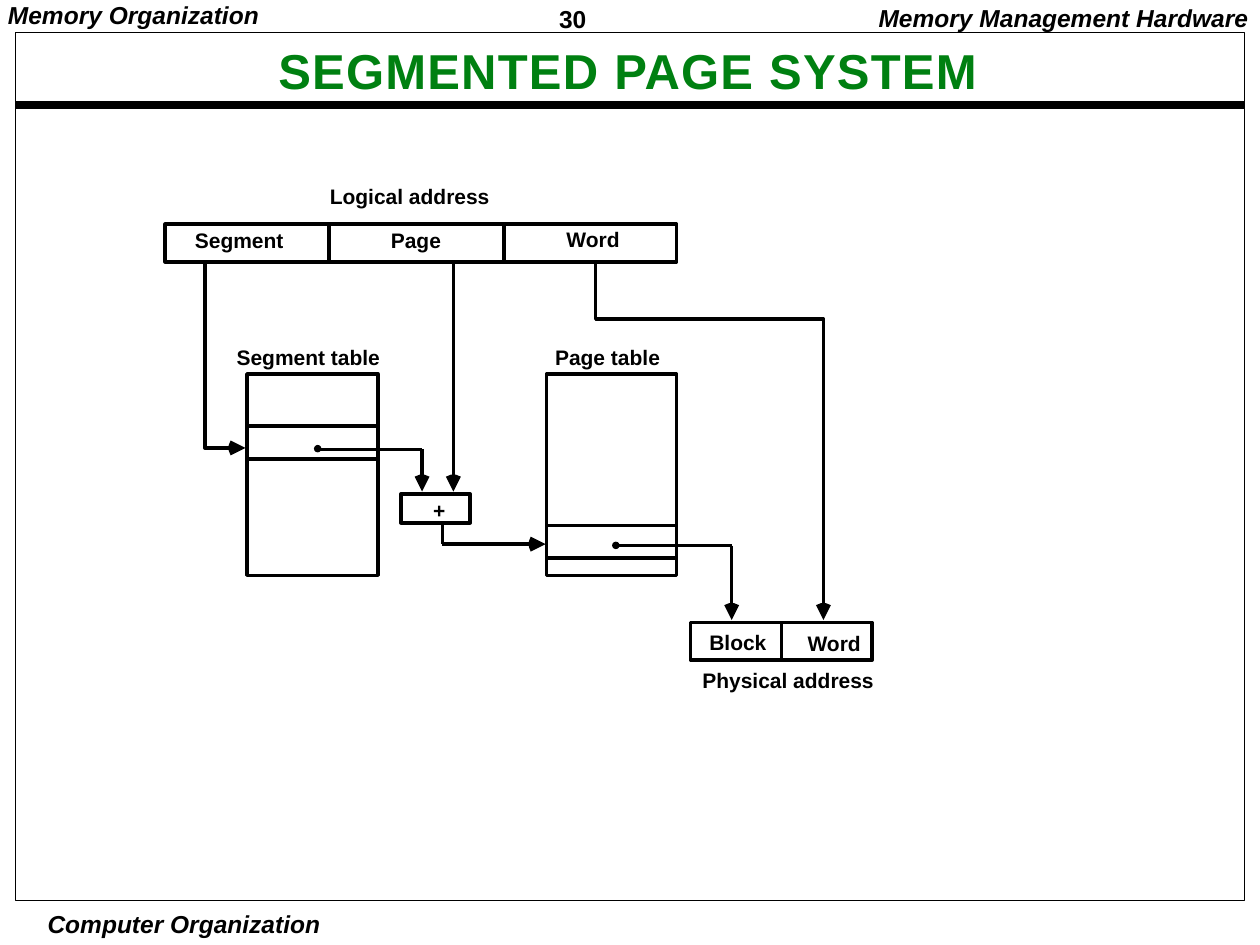
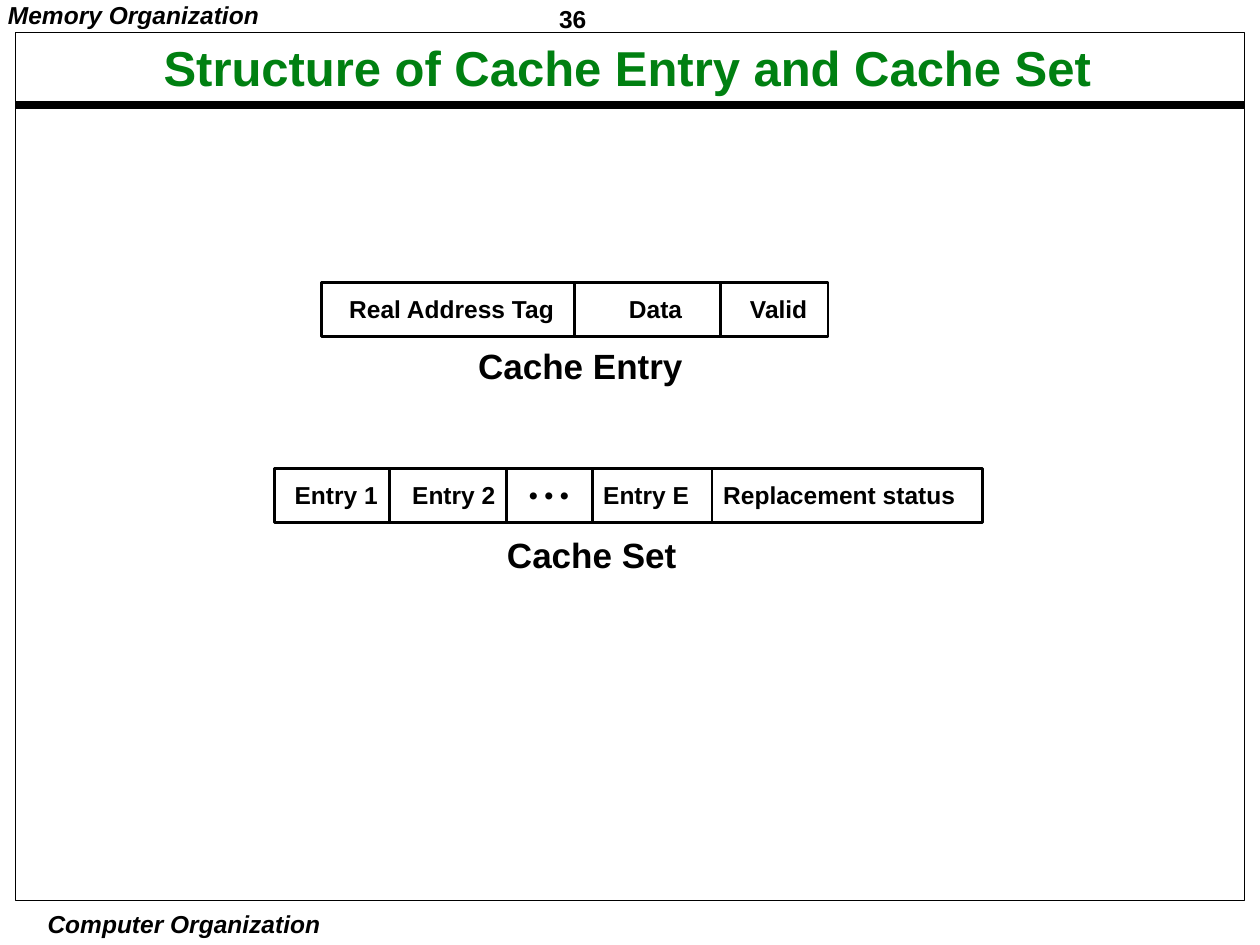
from dataclasses import dataclass
from itertools import pairwise
from math import dist

from lxml import etree
from pptx import Presentation
from pptx import util as u
from pptx.dml.color import RGBColor
from pptx.enum import shapes, text
from pptx.oxml import ns

HUES = {"ink": "000000", "title": "008011"}
LEFT, MID, RIGHT = text.PP_ALIGN.LEFT, text.PP_ALIGN.CENTER, text.PP_ALIGN.RIGHT
WIDE, SNUG, TIGHT = (0.25, 0.13), (0.18, 0.08), (0.08, 0.03)
# Arrowhead outline: distance behind the tip, distance to the side.
BARB = ((0, 0), (0.3, 0.15), (0.34, 0.05), (0.34, -0.05), (0.3, -0.15))
Point = tuple[float, float]


# All lengths are in centimetres, text sizes and line widths in points.
@dataclass
class Label:
    words: str
    left: float
    top: float
    width: float
    height: float = 0.71
    size: float = 12
    align: int = LEFT
    lead: float = 0.9
    inset: tuple[float, float] = WIDE
    slant: bool = False
    hue: str = "ink"
    wrap: bool = False
    tabs: tuple[float, ...] = ()
    track: int = 0


@dataclass
class Strip:
    """A rectangle cut by upright lines (cuts) and level lines (bands)."""
    left: float
    top: float
    width: float
    height: float
    cuts: tuple[float, ...] = ()
    bands: tuple[float, ...] = ()
    weight: float = 2


@dataclass
class Route:
    """A path with an arrowhead at its last point, bent or of single lines."""
    points: tuple[Point, ...]
    bent: bool = False


@dataclass
class Dot:
    left: float
    top: float
    size: float = 0.15


def tint(name: str) -> RGBColor:
    return RGBColor.from_string(HUES[name])


def put(target, values: dict) -> None:
    for name, value in values.items():
        setattr(target, name, value)


def ink_line(shape, weight: float) -> None:
    shape.line.width = u.Pt(weight)
    shape.line.color.rgb = tint("ink")


def ink_fill(shape) -> None:
    shape.shadow.inherit = False
    shape.fill.solid()
    shape.fill.fore_color.rgb = tint("ink")
    shape.line.fill.background()


def draw_label(slide, item: Label) -> None:
    box = slide.shapes.add_textbox(
        *map(u.Cm, (item.left, item.top, item.width, item.height)))
    side, edge = map(u.Cm, item.inset)
    fit = text.MSO_AUTO_SIZE
    put(box.text_frame, {
        "margin_left": side, "margin_right": side,
        "margin_top": edge, "margin_bottom": edge,
        "word_wrap": item.wrap,
        "auto_size": fit.NONE if item.wrap else fit.SHAPE_TO_FIT_TEXT,
        "vertical_anchor": text.MSO_ANCHOR.MIDDLE if item.wrap else text.MSO_ANCHOR.TOP,
    })
    para = box.text_frame.paragraphs[0]
    if item.tabs:
        stops = etree.SubElement(para._p.get_or_add_pPr(), ns.qn("a:tabLst"))
        for stop in item.tabs:
            etree.SubElement(stops, ns.qn("a:tab"), pos=str(u.Cm(stop)), algn="l")
    put(para, {"alignment": item.align, "line_spacing": item.lead})
    run = para.add_run()
    run.text = item.words
    put(run.font, {"name": "Arial", "size": u.Pt(item.size),
                   "bold": True, "italic": item.slant})
    run.font.color.rgb = tint(item.hue)
    if item.track:
        run._r.get_or_add_rPr().set("spc", str(item.track))


def draw_line(slide, start: Point, end: Point, weight: float = 2):
    line = slide.shapes.add_connector(
        shapes.MSO_CONNECTOR.STRAIGHT, *map(u.Cm, (*start, *end)))
    ink_line(line, weight)
    etree.SubElement(line._element.spPr, ns.qn("a:effectLst"))
    return line


def draw_free(slide, points: list[Point], close: bool):
    first, *rest = [(u.Cm(x), u.Cm(y)) for x, y in points]
    pen = slide.shapes.build_freeform(*first)
    pen.add_line_segments(rest, close=close)
    return pen.convert_to_shape()


def draw_strip(slide, item: Strip) -> None:
    box = slide.shapes.add_shape(
        shapes.MSO_SHAPE.RECTANGLE,
        *map(u.Cm, (item.left, item.top, item.width, item.height)))
    box.shadow.inherit = False
    box.fill.background()
    ink_line(box, item.weight)
    right, base = item.left + item.width, item.top + item.height
    for cut in item.cuts:
        line = draw_line(slide, (cut, item.top), (cut, base), item.weight)
        if abs(cut - item.left - item.width / 2) < 0.02:
            line.begin_connect(box, 0)
            line.end_connect(box, 2)
    for band in item.bands:
        draw_line(slide, (item.left, band), (right, band), item.weight)


def draw_route(slide, item: Route) -> None:
    *most, turn, tip = item.points
    span = dist(turn, tip)
    dx, dy = (tip[0] - turn[0]) / span, (tip[1] - turn[1]) / span
    barb = [(tip[0] - back * dx - side * dy, tip[1] - back * dy + side * dx)
            for back, side in BARB]
    ink_fill(draw_free(slide, barb, True))
    points = [*most, turn, (tip[0] - 0.32 * dx, tip[1] - 0.32 * dy)]
    if item.bent:
        path = draw_free(slide, points, False)
        path.shadow.inherit = False
        path.fill.background()
        ink_line(path, 2)
    else:
        for start, end in pairwise(points):
            draw_line(slide, start, end)


def draw_dot(slide, item: Dot) -> None:
    ink_fill(slide.shapes.add_shape(
        shapes.MSO_SHAPE.OVAL,
        *map(u.Cm, (item.left, item.top, item.size, item.size))))


DRAW = {Label: draw_label, Strip: draw_strip, Route: draw_route, Dot: draw_dot}


def add_page(deck, number: int, title: Label, items: list) -> None:
    """Add a slide with the shared frame, rule, header and footer."""
    slide = deck.slides.add_slide(deck.slide_layouts[6])
    draw_line(slide, (0.32, 2.11), (25.08, 2.11), 4.5)
    frame = [
        Label(str(number), 11.09, 0, 2.74, 0.74, 14, lead=1.01, inset=SNUG),
        Label("Memory Organization", -0.02, -0.02, 5.7, 0.69, 14, inset=SNUG, slant=True),
        Label("Computer Organization", 0.74, 18.3, 5.94, 0.66, 14, MID, 1.0,
              TIGHT, slant=True),
        Strip(0.32, 0.66, 24.76, 17.5, weight=0.5),
    ]
    for item in [*frame, title, *items]:
        DRAW[type(item)](slide, item)


def head(words: str, *place: float, track: int = 0) -> Label:
    return Label(words, *place, 28, MID, inset=SNUG, hue="title", wrap=True, track=track)


PAGED = [
    Label("Memory Management Hardware", 17.34, 0, 8.08, 0.79, 14, RIGHT, slant=True),
    Label("Logical address", 6.4, 3.63, 3.9),
    Strip(3.33, 4.52, 10.31, 0.76, cuts=(6.63, 10.16)),
    Label("Segment", 3.68, 4.52, 2.4),
    Label("Page", 7.63, 4.52, 1.7),
    Label("Word", 11.17, 4.5, 1.8),
    Label("Segment table", 4.52, 6.88, 3.6),
    Strip(4.98, 7.54, 2.64, 4.06, bands=(8.59, 9.25)),
    Label("Page table", 10.94, 6.88, 2.8),
    Strip(11.02, 7.54, 2.62, 4.06, bands=(10.59, 11.25)),
    Strip(8.08, 9.96, 1.4, 0.58),
    Label("+", 8.48, 9.95, 0.85),
    Strip(13.92, 12.55, 3.66, 0.76, cuts=(15.75,)),
    Label("Block", 14.05, 12.62, 1.85),
    Label("Word", 16.03, 12.64, 1.8),
    Label("Physical address", 13.91, 13.39, 4.1),
    Route(((4.13, 5.3), (4.13, 9.03), (4.95, 9.03)), bent=True),
    Route(((9.14, 5.28), (9.14, 9.91))),
    Route(((12.01, 5.3), (12.01, 6.43), (16.6, 6.43), (16.6, 12.5)), bent=True),
    Route(((6.38, 9.06), (8.51, 9.06), (8.51, 9.91))),
    Route(((8.92, 10.54), (8.92, 10.97), (11, 10.97))),
    Route(((12.45, 11), (14.75, 11), (14.75, 12.5))),
    Dot(6.33, 8.97),
    Dot(12.34, 10.92),
]

CACHE = [
    Strip(6.48, 5.69, 10.21, 1.09, cuts=(11.58, 14.53), weight=1.5),
    Label("Real Address Tag\tData\tValid", 6.79, 5.87, 9.83, 0.79, 14,
          lead=0.87, wrap=True, tabs=(5.64, 8.08)),
    Label("Cache Entry", 9.2, 6.93, 5.0, 0.99, 20, MID, 0.87),
    Strip(5.54, 9.45, 14.27, 1.09, cuts=(7.85, 10.21, 11.94, 14.35), weight=1.5),
    Label("Entry 1\tEntry 2\t• • •\tEntry E\tReplacement status",
          5.69, 9.63, 13.92, 0.79, 14, lead=0.87, wrap=True,
          tabs=(2.37, 4.73, 6.22, 8.64)),
    Label("Cache Set", 9.78, 10.74, 4.3, 0.99, 20, MID, 0.87),
]


def main() -> None:
    deck = Presentation()
    put(deck, {"slide_width": u.Cm(25.4), "slide_height": u.Cm(19.05)})
    add_page(deck, 30, head("SEGMENTED PAGE SYSTEM", 1.32, 0.84, 22.68, 1.3, track=75),
             PAGED)
    add_page(deck, 36, head("Structure of Cache Entry and Cache Set",
                            1.75, 0.55, 21.79, 1.75), CACHE)
    deck.save("out.pptx")


if __name__ == "__main__":
    main()
